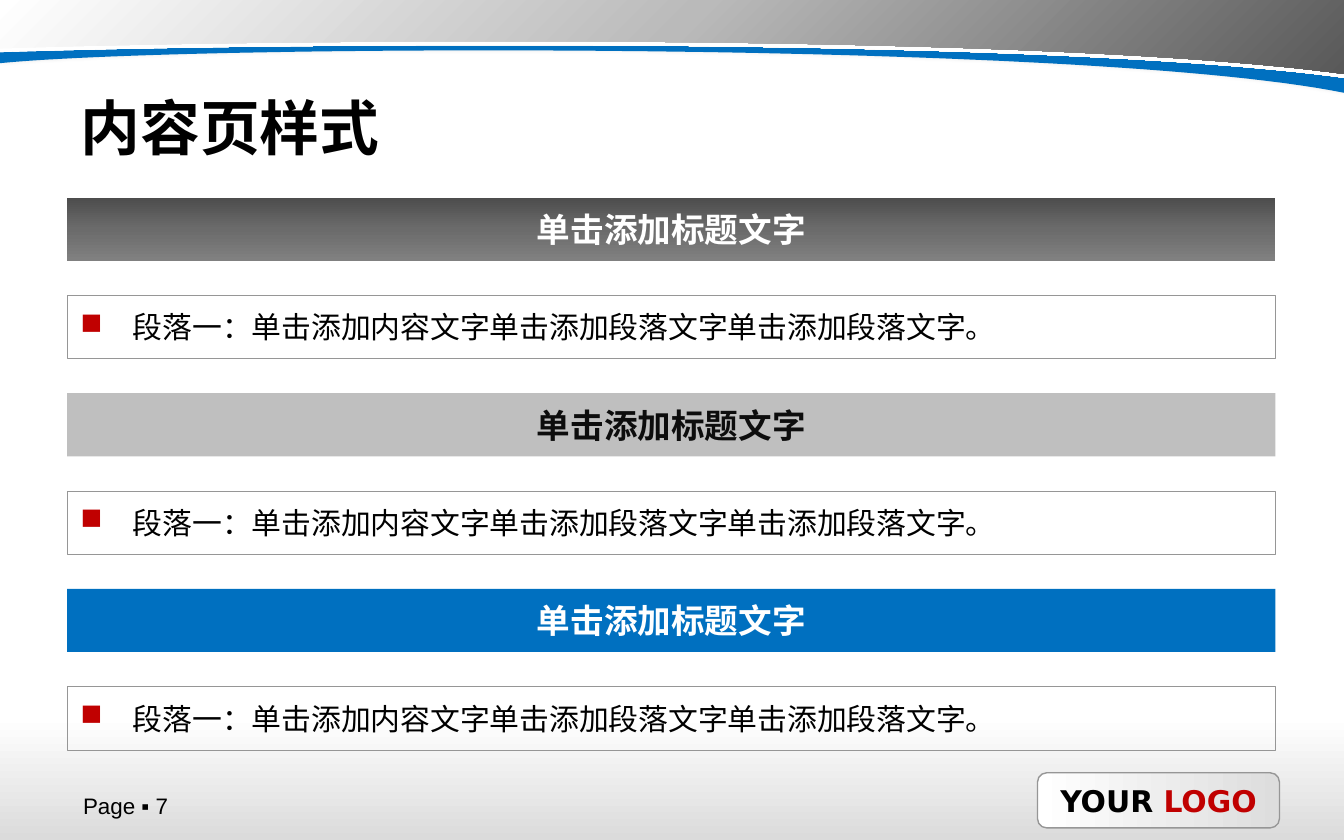
from dataclasses import dataclass

from lxml import etree
from pptx import Presentation
from pptx.dml.color import RGBColor
from pptx.enum.shapes import MSO_SHAPE
from pptx.enum.text import MSO_ANCHOR, PP_ALIGN
from pptx.oxml.ns import qn
from pptx.util import Inches, Pt

RECT = MSO_SHAPE.RECTANGLE
ROUNDED = MSO_SHAPE.ROUNDED_RECTANGLE
MIDDLE, TOP = MSO_ANCHOR.MIDDLE, MSO_ANCHOR.TOP
LEFT, CENTER = PP_ALIGN.LEFT, PP_ALIGN.CENTER

WIDTH, HEIGHT = 10, 6.25
MARGIN = 0.05 * WIDTH
ROW_WIDTH, ROW_HEIGHT = 8.99, 0.47
FIRST_ROW, ROW_PITCH = 1.47, 0.728
BULLET_INDENT = 0.39

BLACK, WHITE, BLUE, RED, OUTLINE = "000000", "FFFFFF", "0070C0", "C00000", "969696"
HEADING = "单击添加标题文字"
BODY = "段落一：单击添加内容文字单击添加段落文字单击添加段落文字。"

Point = tuple[float, float]
Fill = str | list[tuple[int, str]] | None


@dataclass
class Box:
    left: float
    top: float
    width: float
    height: float

    def emu(self) -> list[int]:
        return [Inches(v) for v in (self.left, self.top, self.width, self.height)]


@dataclass
class Section:
    fill: Fill
    heading_color: str


@dataclass
class Shadow:
    color: str
    opacity: int
    blur: float
    distance: float
    angle: int


@dataclass
class Swoosh:
    curve: tuple[Point, Point, Point, Point]
    left_edge: float
    fill: Fill
    angle: int
    shadow: Shadow


SECTIONS = [
    Section([(0, "4C4C4C"), (50, "6B6B6B"), (100, "808080")], WHITE),
    Section("BFBFBF", "0D0D0D"),
    Section(BLUE, WHITE),
]
SWOOSHES = [
    Swoosh(((10, 0.69), (8.05, 0.3), (1.42, 0.33), (0, 0.47)), 0.41,
           BLUE, 0, Shadow(BLACK, 40, 4, 3, 270)),
    Swoosh(((10, 0.55), (7.68, 0.24), (2.11, 0.29), (0, 0.36)), 0.31,
           [(0, WHITE), (50, "BABABA"), (100, "595959")], 45, Shadow(WHITE, 100, 0, 2, 90)),
]


def rgb(color: str) -> RGBColor:
    return RGBColor.from_string(color)


def add_child(parent, tag: str, **attributes):
    values = {key: str(value) for key, value in attributes.items()}
    return etree.SubElement(parent, qn(tag), values)


def paint(shape, fill: Fill, angle: int = 90, line: str | None = None, weight: float = 0.25) -> None:
    shape.shadow.inherit = False
    if isinstance(fill, str):
        shape.fill.solid()
        shape.fill.fore_color.rgb = rgb(fill)
    else:
        shape.fill.background()
    if isinstance(fill, list):
        properties = shape.element.spPr
        gradient = etree.Element(qn("a:gradFill"), rotWithShape="1")
        stops = add_child(gradient, "a:gsLst")
        for position, color in fill:
            stop = add_child(stops, "a:gs", pos=position * 1000)
            add_child(stop, "a:srgbClr", val=color)
        add_child(gradient, "a:lin", ang=angle * 60000, scaled=0)
        properties.replace(properties.find(qn("a:noFill")), gradient)
    if line:
        shape.line.color.rgb = rgb(line)
        shape.line.width = Pt(weight)
    else:
        shape.line.fill.background()


def cast_shadow(shape, shadow: Shadow) -> None:
    effects = shape.element.spPr.find(qn("a:effectLst"))
    outer = add_child(effects, "a:outerShdw", blurRad=Pt(shadow.blur), dist=Pt(shadow.distance),
                      dir=shadow.angle * 60000, algn="ctr", rotWithShape=0)
    color = add_child(outer, "a:srgbClr", val=shadow.color)
    add_child(color, "a:alpha", val=shadow.opacity * 1000)


def draw_swoosh(slide, swoosh: Swoosh, steps: int = 60) -> None:
    def on_curve(t: float) -> Point:
        weights = ((1 - t) ** 3, 3 * t * (1 - t) ** 2, 3 * t * t * (1 - t), t ** 3)
        x, y = (sum(w * p[axis] for w, p in zip(weights, swoosh.curve)) for axis in (0, 1))
        return x, y

    outline = [on_curve(step / steps) for step in range(steps + 1)]
    outline += [(0, swoosh.left_edge), (0, 0), (WIDTH, 0)]
    corners = [(Inches(x), Inches(y)) for x, y in outline]
    builder = slide.shapes.build_freeform(*corners[0])
    builder.add_line_segments(corners[1:], close=True)
    band = builder.convert_to_shape()
    paint(band, swoosh.fill, swoosh.angle)
    cast_shadow(band, swoosh.shadow)


def write(shape, pieces: list[tuple[str, str]], size: int, font: str = "DejaVu Sans", bold: bool = False,
          align=LEFT, anchor=MIDDLE, wrap: bool = True, bullet: bool = False) -> None:
    frame = shape.text_frame
    frame.word_wrap = wrap
    frame.vertical_anchor = anchor
    paragraph = frame.paragraphs[0]
    paragraph.alignment = align
    if bullet:
        paragraph.line_spacing = 1.2
        properties = paragraph._p.get_or_add_pPr()
        properties.set("marL", str(Inches(BULLET_INDENT)))
        properties.set("indent", str(-Inches(BULLET_INDENT)))
        add_child(add_child(properties, "a:buClr"), "a:srgbClr", val=RED)
        add_child(properties, "a:buChar", char="■")
    paragraph.font.name = font
    paragraph.font.size = Pt(size)
    paragraph.font.bold = bold
    for text, color in pieces:
        run = paragraph.add_run()
        run.text = text
        run.font.color.rgb = rgb(color)


def draw_backdrop(slide) -> None:
    footer = slide.shapes.add_shape(RECT, *Box(0, 5.33, WIDTH, HEIGHT - 5.33).emu())
    paint(footer, [(0, WHITE), (100, "DBDBDB")])
    badge = slide.shapes.add_shape(ROUNDED, *Box(7.72, 5.75, 1.8, 0.41).emu())
    paint(badge, [(0, WHITE), (100, "DDDDDD")], 0, OUTLINE, 0.75)
    write(badge, [("YOUR ", BLACK), ("LOGO", RED)], 16, bold=True, align=CENTER, wrap=False)
    for swoosh in SWOOSHES:
        draw_swoosh(slide, swoosh)


def row_box(row: int) -> Box:
    return Box(MARGIN, FIRST_ROW + row * ROW_PITCH, ROW_WIDTH, ROW_HEIGHT)


def draw_section(slide, index: int, section: Section) -> None:
    heading = slide.shapes.add_shape(RECT, *row_box(2 * index).emu())
    paint(heading, section.fill)
    write(heading, [(HEADING, section.heading_color)], 18, bold=True, align=CENTER, wrap=False)
    body = slide.shapes.add_shape(ROUNDED, *row_box(2 * index + 1).emu())
    body.adjustments[0] = 0
    paint(body, None, line=OUTLINE)
    write(body, [(BODY, BLACK)], 16, anchor=TOP, bullet=True)


def main() -> None:
    deck = Presentation()
    deck.slide_width, deck.slide_height = Inches(WIDTH), Inches(HEIGHT)
    slide = deck.slides.add_slide(deck.slide_layouts[5])
    draw_backdrop(slide)
    title = slide.shapes.title
    title.left, title.top, title.width, title.height = Box(MARGIN, 0.6, WIDTH - 2 * MARGIN, 0.69).emu()
    write(title, [("内容页样式", BLACK)], 32, bold=True)
    for index, section in enumerate(SECTIONS):
        draw_section(slide, index, section)
    page = slide.shapes.add_textbox(*Box(0.52, 5.88, 1.57, 0.22).emu())
    write(page, [("Page ▪ 7", BLACK)], 12, font="Arial")
    deck.save("out.pptx")


if __name__ == "__main__":
    main()
